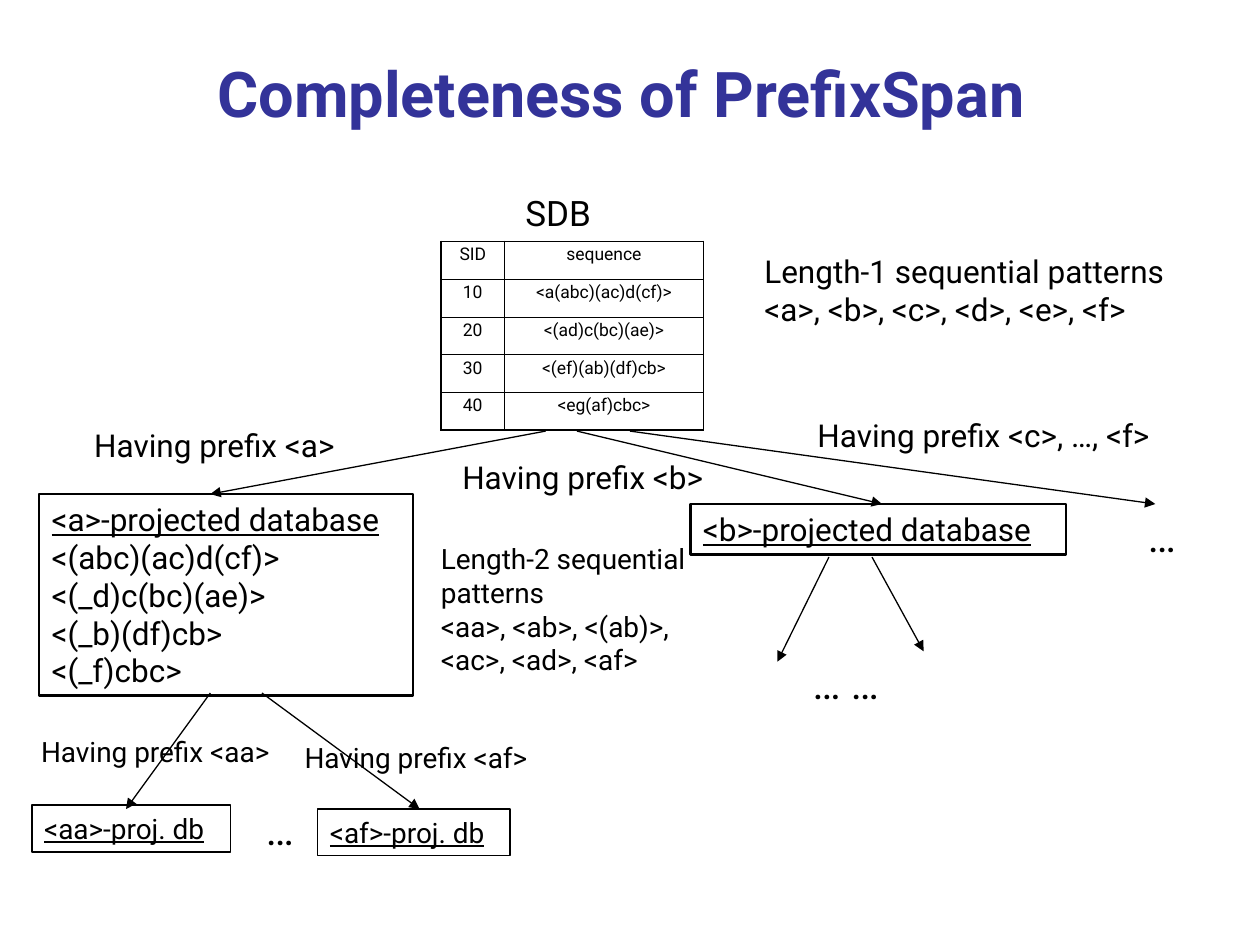
from lxml.etree import SubElement
from pptx import Presentation
from pptx.dml.color import RGBColor
from pptx.enum.shapes import MSO_CONNECTOR, MSO_SHAPE
from pptx.enum.text import MSO_ANCHOR, MSO_AUTO_SIZE, PP_ALIGN
from pptx.oxml.ns import qn
from pptx.util import Cm, Pt

BLACK = RGBColor(0x00, 0x00, 0x00)
INDIGO = RGBColor(0x33, 0x33, 0x99)
FONT = "Roboto"
OUTER, INNER = Pt(1.08), Pt(0.45)

SEQUENCES = [
    ("SID", "sequence"),
    ("10", "<a(abc)(ac)d(cf)>"),
    ("20", "<(ad)c(bc)(ae)>"),
    ("30", "<(ef)(ab)(df)cb>"),
    ("40", "<eg(af)cbc>"),
]

LABELS = [
    (10.34, 3.73, 1.9, 1.12, 20, ["SDB"]),
    (15.16, 4.95, 9.12, 1.78, 18,
     ["Length-1 sequential patterns", "<a>, <b>, <c>, <d>, <e>, <f>"]),
    (8.64, 10.8, 5.77, 2.97, 16,
     ["Length-2 sequential", "patterns", "<aa>, <ab>, <(ab)>,", "<ac>, <ad>, <af>"]),
    (1.65, 8.46, 5.74, 1.02, 18, ["Having prefix <a>"]),
    (9.07, 9.1, 5.77, 1.02, 18, ["Having prefix <b>"]),
    (16.23, 8.26, 7.8, 1.02, 18, ["Having prefix <c>, …, <f>"]),
    (0.58, 14.68, 5.46, 0.94, 16, ["Having prefix <aa>"]),
    (5.89, 14.81, 5.33, 0.94, 16, ["Having prefix <af>"]),
    (5.11, 16.08, 1.17, 1.27, 24, ["…"]),
    (22.89, 10.16, 1.17, 1.27, 24, ["…"]),
    (16.13, 13.13, 2.06, 1.27, 24, ["… …"]),
]

DATABASES = [
    (0.79, 9.96, 7.54, 4.06, 18, 1.5,
     ["<a>-projected database", "<(abc)(ac)d(cf)>", "<(_d)c(bc)(ae)>",
      "<(_b)(df)cb>", "<(_f)cbc>"]),
    (13.92, 10.16, 7.57, 1.02, 18, 1.5, ["<b>-projected database"]),
    (0.64, 16.23, 4.01, 0.94, 16, 1, ["<aa>-proj. db"]),
    (6.4, 16.31, 3.89, 0.94, 16, 1, ["<af>-proj. db"]),
]

ARROWS = [
    (11, 8.69, 4.24, 9.96),
    (11.63, 8.69, 17.78, 10.16),
    (12.7, 8.69, 23.29, 10.16),
    (4.24, 13.97, 2.54, 16.31),
    (5.28, 13.97, 8.46, 16.31),
    (16.71, 11.23, 15.67, 13.34),
    (17.58, 11.23, 18.62, 13.13),
]


def add_run(paragraph, text, size, color=BLACK, bold=False, underline=False):
    """Append one formatted run to a paragraph."""
    run = paragraph.add_run()
    run.text = text
    run.font.name = FONT
    run.font.size = Pt(size)
    run.font.bold = bold
    run.font.underline = underline
    run.font.color.rgb = color


def write_lines(shape, lines, size, underline_first=False):
    """Fill a shape with left-aligned lines."""
    frame = shape.text_frame
    frame.word_wrap = True
    frame.vertical_anchor = MSO_ANCHOR.TOP
    for index, line in enumerate(lines):
        paragraph = frame.add_paragraph() if index else frame.paragraphs[0]
        paragraph.alignment = PP_ALIGN.LEFT
        add_run(paragraph, line, size, underline=underline_first and index == 0)


def set_title(slide, text):
    """Place and fill the title placeholder."""
    title = slide.shapes.title
    title.left, title.top, title.width, title.height = Cm(1.07), Cm(0.64), Cm(22.91), Cm(2.11)
    frame = title.text_frame
    frame.auto_size = MSO_AUTO_SIZE.NONE
    frame.vertical_anchor = MSO_ANCHOR.BOTTOM
    paragraph = frame.paragraphs[0]
    paragraph.alignment = PP_ALIGN.CENTER
    add_run(paragraph, text, 36, INDIGO, bold=True)


def add_label(slide, left, top, width, height, size, lines):
    """Add a plain text label."""
    label = slide.shapes.add_textbox(Cm(left), Cm(top), Cm(width), Cm(height))
    write_lines(label, lines, size)


def add_database(slide, left, top, width, height, size, weight, lines):
    """Add an outlined database box with an underlined heading."""
    box = slide.shapes.add_shape(
        MSO_SHAPE.RECTANGLE, Cm(left), Cm(top), Cm(width), Cm(height))
    box.shadow.inherit = False
    box.fill.background()
    box.line.color.rgb = BLACK
    box.line.width = Pt(weight)
    write_lines(box, lines, size, underline_first=True)


def add_arrow(slide, start_x, start_y, end_x, end_y):
    """Add a thin line with an arrowhead at its end."""
    arrow = slide.shapes.add_connector(
        MSO_CONNECTOR.STRAIGHT, Cm(start_x), Cm(start_y), Cm(end_x), Cm(end_y))
    arrow.line.color.rgb = BLACK
    arrow.line.width = Pt(0.75)
    SubElement(arrow.line._get_or_add_ln(), qn("a:tailEnd"), type="triangle")
    SubElement(arrow._element.spPr, qn("a:effectLst"))


def set_borders(cell, widths):
    """Draw the cell borders from a mapping of side to width."""
    properties = cell._tc.get_or_add_tcPr()
    for side, width in widths.items():
        line = SubElement(properties, qn(f"a:ln{side}"), w=str(width))
        fill = SubElement(line, qn("a:solidFill"))
        SubElement(fill, qn("a:srgbClr"), val=str(BLACK))


def add_sequence_table(slide, rows):
    """Add the sequence database with a heavier outer frame."""
    last_row, last_column = len(rows) - 1, len(rows[0]) - 1
    table = slide.shapes.add_table(
        len(rows), len(rows[0]), Cm(8.89), Cm(4.87), Cm(5.29), Cm(3.8)).table
    table.first_row = table.horz_banding = False
    table.columns[0].width, table.columns[1].width = Cm(1.28), Cm(4.01)
    for row_index, row in enumerate(rows):
        table.rows[row_index].height = Cm(0.76)
        for column_index, text in enumerate(row):
            cell = table.cell(row_index, column_index)
            paragraph = cell.text_frame.paragraphs[0]
            paragraph.alignment = PP_ALIGN.CENTER
            paragraph.line_spacing = 0.8
            add_run(paragraph, text, 10)
            set_borders(cell, {
                "L": OUTER if column_index == 0 else INNER,
                "R": OUTER if column_index == last_column else INNER,
                "T": OUTER if row_index == 0 else INNER,
                "B": OUTER if row_index == last_row else INNER,
            })
            cell.fill.background()


def main():
    """Build and save the slide."""
    presentation = Presentation()
    presentation.slide_width, presentation.slide_height = Cm(25.4), Cm(19.05)
    slide = presentation.slides.add_slide(presentation.slide_layouts[5])
    set_title(slide, "Completeness of PrefixSpan")
    add_sequence_table(slide, SEQUENCES)
    for database in DATABASES:
        add_database(slide, *database)
    for arrow in ARROWS:
        add_arrow(slide, *arrow)
    for label in LABELS:
        add_label(slide, *label)
    presentation.save("out.pptx")


if __name__ == "__main__":
    main()
